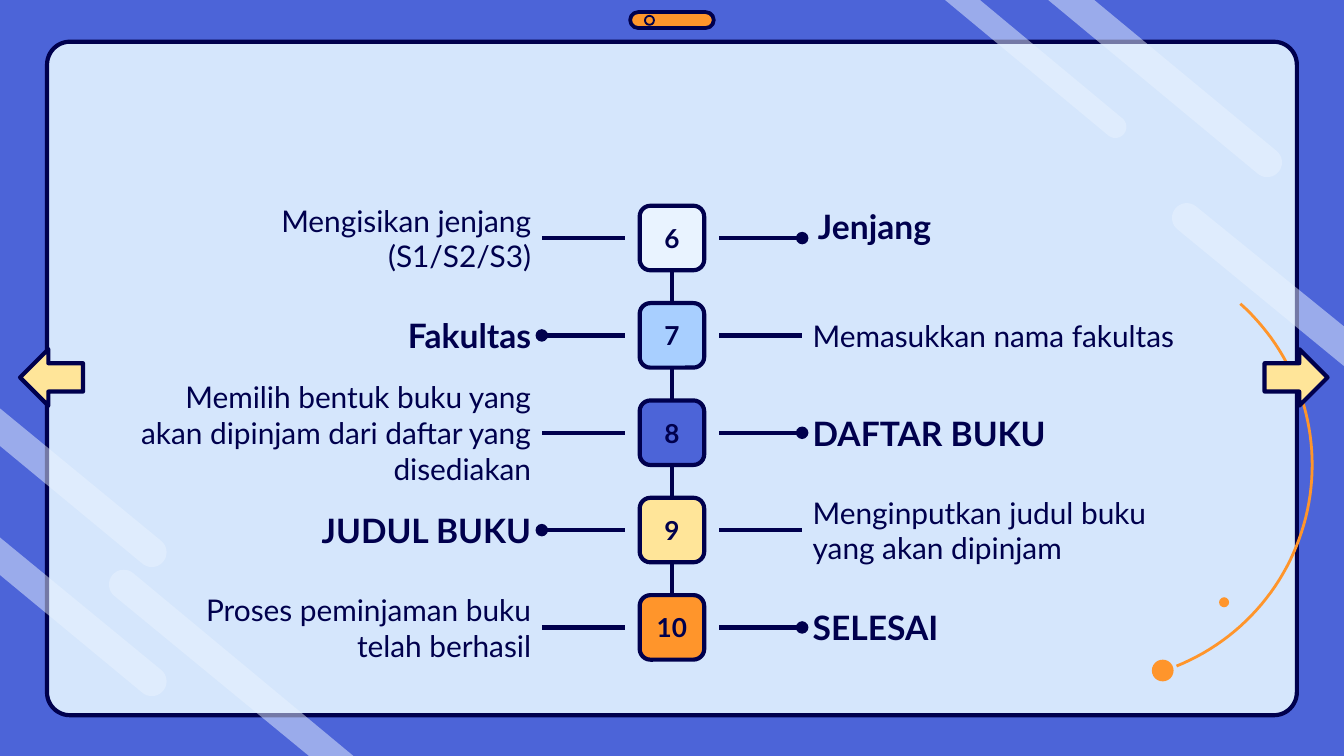
"""Build a slide with steps six to ten of a book-borrowing timeline."""
from math import cos, radians, sin

from pptx import Presentation
from pptx.dml.color import RGBColor
from pptx.enum.shapes import MSO_CONNECTOR as Connector, MSO_SHAPE as Preset
from pptx.enum.text import MSO_ANCHOR as Anchor, PP_ALIGN as Align
from pptx.oxml.ns import qn
from pptx.oxml.xmlchemy import OxmlElement
from pptx.util import Cm, Pt

COLORS = {
    "blue": "4C64D8",
    "navy": "00004D",
    "panel": "D5E6FC",
    "ice": "E9F3FF",
    "sky": "A8CFFF",
    "cream": "FFE599",
    "orange": "FF952B",
}
WIDTH, HEIGHT = 25.4, 14.29
CENTER = WIDTH / 2
BOX = 1.22
LABEL_WIDTH = 7.98


def paint(shape, fill=None, line=None, weight=2.25):
    shape.shadow.inherit = False
    if fill:
        shape.fill.solid()
        shape.fill.fore_color.rgb = RGBColor.from_string(COLORS[fill])
    else:
        shape.fill.background()
    if line:
        shape.line.color.rgb = RGBColor.from_string(COLORS[line])
        shape.line.width = Pt(weight)
    else:
        shape.line.fill.background()


def arc_points(x, y, radius, start, end, step):
    angles = [radians(angle) for angle in range(start, end + 1, step)]
    return [(Cm(x + radius * cos(a)), Cm(y + radius * sin(a))) for a in angles]


presentation = Presentation()
presentation.slide_width = Cm(WIDTH)
presentation.slide_height = Cm(HEIGHT)
slide = presentation.slides.add_slide(presentation.slide_layouts[6])
slide.background.fill.solid()
slide.background.fill.fore_color.rgb = RGBColor.from_string(COLORS["blue"])
shapes = slide.shapes

toggle = shapes.add_shape(Preset.ROUNDED_RECTANGLE, Cm(11.91), Cm(0.23), Cm(1.58), Cm(0.3))
toggle.adjustments[0] = 0.5
paint(toggle, "orange", "navy", 2)
knob = shapes.add_shape(Preset.OVAL, Cm(12.19), Cm(0.3), Cm(0.17), Cm(0.17))
paint(knob, None, "navy", 1)

panel = shapes.add_shape(Preset.ROUNDED_RECTANGLE, Cm(0.89), Cm(0.79), Cm(23.62), Cm(12.73))
panel.adjustments[0] = 0.034
paint(panel, "panel", "navy")

stripes = [
    ((20.68, 0), (23.95, 3.07), 0.28, 40, (19.81, 0)),
    ((18.52, 0), (21.08, 2.4), 0.21, 40, (17.86, 0)),
    ((5.84, HEIGHT), (2.34, 11.05), 0.28, 220, (6.68, HEIGHT)),
    ((0, 10.16), (2.87, 12.88), 0.28, 40, (0, 10.87)),
    ((0, 7.72), (2.87, 10.44), 0.28, 40, (0, 8.43)),
    ((WIDTH, 6.92), (22.43, 4.12), 0.28, 220, (WIDTH, 6.17)),
]
for first, cap, radius, heading, last in stripes:
    builder = shapes.build_freeform(Cm(first[0]), Cm(first[1]))
    points = arc_points(*cap, radius, heading - 90, heading + 90, 10)
    builder.add_line_segments(points + [(Cm(last[0]), Cm(last[1]))])
    stripe = builder.convert_to_shape()
    paint(stripe, "ice")
    alpha = OxmlElement("a:alpha")
    alpha.set("val", "50000")
    stripe.fill._xPr.find(".//" + qn("a:srgbClr")).append(alpha)

orbit_points = arc_points(20.7, 8.79, 4.1, -48, 68, 2)
builder = shapes.build_freeform(*orbit_points[0])
builder.add_line_segments(orbit_points[1:], close=False)
paint(builder.convert_to_shape(), None, "orange", 1.5)
for x, y, size in [(23.04, 11.29, 0.19), (21.77, 12.47, 0.41)]:
    paint(shapes.add_shape(Preset.OVAL, Cm(x), Cm(y), Cm(size), Cm(size)), "orange")

steps = [
    ("6", "ice", "Jenjang", "Mengisikan jenjang (S1/S2/S3)"),
    ("7", "sky", "Fakultas", "Memasukkan nama fakultas"),
    ("8", "blue", "DAFTAR BUKU",
     "Memilih bentuk buku yang akan dipinjam dari daftar yang disediakan"),
    ("9", "cream", "JUDUL BUKU", "Menginputkan judul buku yang akan dipinjam"),
    ("10", "orange", "SELESAI", "Proses peminjaman buku telah berhasil"),
]
spine = shapes.add_connector(Connector.STRAIGHT, Cm(CENTER), Cm(3.89), Cm(CENTER), Cm(12.47))
connectors = [spine]
boxes = []
texts = []
for index, (number, color, heading, description) in enumerate(steps):
    middle = 4.5 + 1.84 * index
    top = middle - BOX / 2
    box = shapes.add_shape(
        Preset.ROUNDED_RECTANGLE, Cm(CENTER - BOX / 2), Cm(top), Cm(BOX), Cm(BOX))
    paint(box, color, "navy")
    boxes.append(box)
    texts.append((box, number, 14, True, Align.CENTER, 0.25))

    heading_side = 1 if index % 2 == 0 else -1
    for side in (-1, 1):
        is_heading = side == heading_side
        connector = shapes.add_connector(
            Connector.STRAIGHT, Cm(CENTER + side * 0.89), Cm(middle),
            Cm(CENTER + side * 2.46), Cm(middle))
        connectors.append(connector)
        if is_heading:
            tail = OxmlElement("a:tailEnd")
            tail.set("type", "oval")
            connector.line._get_or_add_ln().append(tail)
        left = 15.11 if side == 1 else 2.31
        shift_x, shift_y = (0.1, -0.23) if heading == "Jenjang" and is_heading else (0, 0)
        label = shapes.add_textbox(
            Cm(left + shift_x), Cm(top + shift_y), Cm(LABEL_WIDTH), Cm(BOX))
        align = Align.LEFT if side == 1 else Align.RIGHT
        if is_heading:
            texts.append((label, heading, 18, True, align, 0))
        else:
            texts.append((label, description, 16, False, align, 0.25))

spine.begin_connect(boxes[0], 0)
spine.end_connect(boxes[-1], 2)
for connector in connectors:
    connector.line.color.rgb = RGBColor.from_string(COLORS["navy"])
    connector.line.width = Pt(2.25)
    connector._element.spPr.append(OxmlElement("a:effectLst"))

for shape, text, size, bold, align, inset in texts:
    frame = shape.text_frame
    frame.word_wrap = True
    frame.vertical_anchor = Anchor.MIDDLE
    frame.margin_left = frame.margin_right = Cm(0.25)
    frame.margin_top = frame.margin_bottom = Cm(inset)
    paragraph = frame.paragraphs[0]
    paragraph.alignment = align
    run = paragraph.add_run()
    run.text = text
    run.font.name = "Lato"
    run.font.size = Pt(size)
    run.font.bold = bold
    run.font.color.rgb = RGBColor.from_string(COLORS["navy"])

for preset, left in [(Preset.LEFT_ARROW, 0.38), (Preset.RIGHT_ARROW, 23.9)]:
    arrow = shapes.add_shape(preset, Cm(left), Cm(6.6), Cm(1.19), Cm(1.07))
    paint(arrow, "cream", "navy")

presentation.save("out.pptx")
